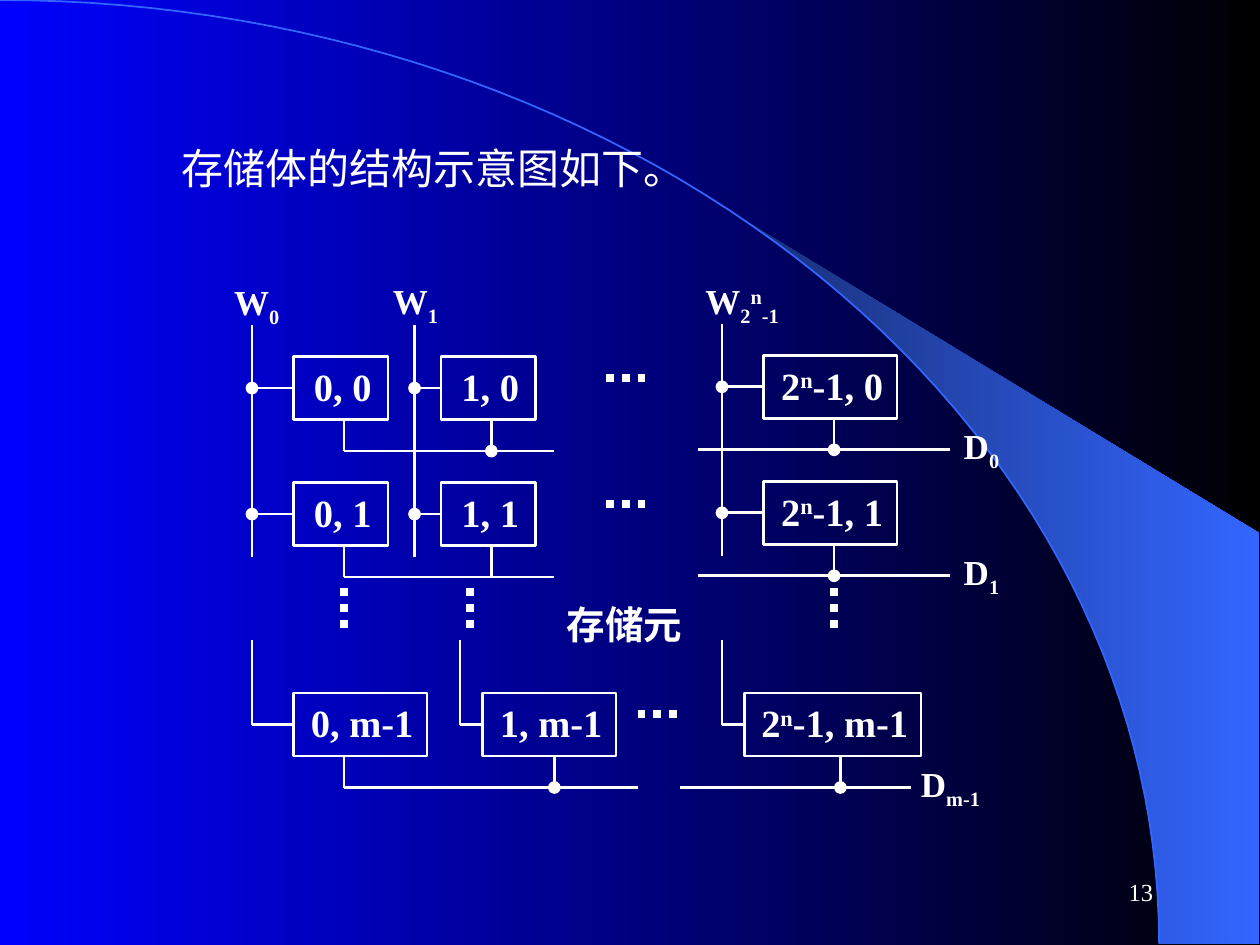
import math

from lxml import etree
from pptx import Presentation
from pptx.dml.color import RGBColor
from pptx.enum import dml, shapes, text
from pptx.oxml.ns import qn
from pptx.util import Inches, Pt

COLORS = {"ink": "FFFFFF", "arc": "3366FF", "beam": "182F76", "left": "0000FF", "right": "000000"}
FONT = "Times New Roman"
SUB, SUPER = -25, 30


def color(name):
    return RGBColor.from_string(COLORS[name])


def fill_gradient(fill, start, end):
    fill.gradient()
    fill.gradient_angle = 0
    for stop, name, position in zip(fill.gradient_stops, (start, end), (0, 1)):
        stop.color.rgb = color(name)
        stop.position = position


def write_text(frame, parts, size=20, bold=True, align=text.PP_ALIGN.LEFT):
    para = frame.paragraphs[0]
    para.alignment = align
    for part, baseline in parts:
        span = para.add_run()
        span.text = part
        span.font.name = FONT
        span.font.size = Pt(size)
        span.font.bold = bold
        span.font.color.rgb = color("ink")
        if baseline:
            span._r.get_or_add_rPr().set("baseline", str(baseline * 1000))


def arc_points(start, end, steps=60):
    angles = [math.radians(start + (end - start) * i / steps) for i in range(steps + 1)]
    return [(9.2 * math.sin(a), 7.49 - 7.49 * math.cos(a)) for a in angles]


class Diagram:
    def __init__(self, page, line_width=1.5):
        self.page = page
        self.line_width = line_width

    def outline(self, points, close):
        points = [(Inches(x), Inches(y)) for x, y in points]
        builder = self.page.shapes.build_freeform(*points[0], scale=1.0)
        builder.add_line_segments(points[1:], close=close)
        shape = builder.convert_to_shape()
        shape.shadow.inherit = False
        return shape

    def label(self, left, top, width, height, parts, anchor=text.MSO_ANCHOR.TOP, **style):
        box = self.page.shapes.add_textbox(*map(Inches, (left, top, width, height)))
        box.text_frame.word_wrap = False
        box.text_frame.vertical_anchor = anchor
        write_text(box.text_frame, parts, **style)

    def shape(self, kind, left, top, width, height):
        shape = self.page.shapes.add_shape(kind, *map(Inches, (left, top, width, height)))
        shape.shadow.inherit = False
        shape.line.color.rgb = color("ink")
        shape.line.width = Pt(self.line_width)
        return shape

    def cell(self, left, top, width, parts):
        cell = self.shape(shapes.MSO_SHAPE.RECTANGLE, left, top, width, 0.5)
        cell.fill.background()
        frame = cell.text_frame
        frame.word_wrap = False
        frame.vertical_anchor = text.MSO_ANCHOR.MIDDLE
        frame.margin_right = frame.margin_top = 0
        frame.margin_left = frame.margin_bottom = Inches(0.03)
        write_text(frame, parts, size=22, align=text.PP_ALIGN.CENTER)
        return cell

    def dot(self, x, y):
        dot = self.shape(shapes.MSO_SHAPE.OVAL, x - 0.04, y - 0.04, 0.08, 0.08)
        dot.fill.solid()
        dot.fill.fore_color.rgb = color("ink")

    def line(self, x1, y1, x2, y2, cell=None):
        line = self.page.shapes.add_connector(
            shapes.MSO_CONNECTOR.STRAIGHT, *map(Inches, (x1, y1, x2, y2)))
        line.line.color.rgb = color("ink")
        line.line.width = Pt(self.line_width)
        etree.SubElement(line._element.spPr, qn("a:effectLst"))
        if cell is not None:
            line.end_connect(cell, 1)
        return line

    def ellipsis(self, x1, y1, x2, y2):
        line = self.line(x1, y1, x2, y2)
        line.line.width = Pt(4.5)
        line.line.dash_style = dml.MSO_LINE.ROUND_DOT

    def wired_cell(self, wire, left, top, width, drop, parts, bus_dot):
        cell = self.cell(left, top, width, parts)
        self.line(wire, top + 0.25, left, top + 0.25, cell)
        self.line(drop, top + 0.5, drop, top + 0.75)
        if bus_dot:
            self.dot(drop, top + 0.75)


def draw_backdrop(diagram):
    fill_gradient(diagram.page.background.fill, "left", "right")
    beam = diagram.outline(arc_points(39.8, 90) + [(9.99, 7.49), (9.99, 4.23)], True)
    fill_gradient(beam.fill, "beam", "arc")
    beam.line.fill.background()
    arc = diagram.outline(arc_points(0, 90), False)
    arc.fill.background()
    arc.line.color.rgb = color("arc")
    arc.line.width = Pt(1)


def draw_memory(diagram):
    first, second, last = [("0", 0)], [("1", 0)], [("2", 0), ("n", SUPER), ("-1", 0)]
    upper_columns = [
        (first, 2, 2.33, 0.75, 2.73, 2.83, ()),
        (second, 3.29, 3.5, 0.75, 3.9, 2.83, (0,)),
        (last, 5.73, 6.06, 1.06, 6.62, 2.82, (0, 1)),
    ]
    for name, wire, left, width, drop, top, dotted_rows in upper_columns:
        diagram.line(wire, top - 0.25, wire, top + 1.59)
        for row in range(2):
            diagram.wired_cell(wire, left, top + row, width, drop,
                               name + [(f", {row}", 0)], row in dotted_rows)
            diagram.dot(wire, top + row + 0.25)

    bottom_columns = [
        (first, 2, 2.33, 1.06, 2.73),
        (second, 3.65, 3.83, 1.06, 4.4),
        (last, 5.73, 5.91, 1.4, 6.67),
    ]
    for name, wire, left, width, drop in bottom_columns:
        diagram.line(wire, 5.08, wire, 5.75)
        diagram.wired_cell(wire, left, 5.5, width, drop,
                           name + [(", m-1", 0)], name is not first)

    for start, end, y in [(2.73, 4.4, 3.58), (5.54, 7.54, 3.57), (2.73, 4.4, 4.58),
                          (5.54, 7.54, 4.57), (2.73, 5.06, 6.25), (5.4, 7.23, 6.25)]:
        diagram.line(start, y, end, y)
    for x in (2.73, 3.73, 6.62):
        diagram.ellipsis(x, 4.67, x, 5)
    for x, y in [(4.81, 3), (4.81, 4), (5.06, 5.67)]:
        diagram.ellipsis(x, y, x + 0.34, y)

    for left, top, width, parts in [
        (1.76, 2.18, 0.6, [("W", 0), ("0", SUB)]),
        (3.02, 2.17, 0.6, [("W", 0), ("1", SUB)]),
        (5.5, 2.17, 0.9, [("W", 0), ("2", SUB), ("n", SUPER), ("-1", SUB)]),
        (7.55, 3.32, 0.52, [("D", 0), ("0", SUB)]),
        (7.55, 4.32, 0.52, [("D", 0), ("1", SUB)]),
        (7.21, 6, 0.75, [("D", 0), ("m-1", SUB)]),
    ]:
        diagram.label(left, top, width, 0.48, parts)
    diagram.label(4.4, 4.72, 1.25, 0.47, [("存储元", 0)], size=22)


def main():
    deck = Presentation()
    deck.slide_width, deck.slide_height = Inches(10), Inches(7.5)
    diagram = Diagram(deck.slides.add_slide(deck.slide_layouts[6]))
    draw_backdrop(diagram)
    diagram.label(7.17, 6.83, 2.08, 0.5, [("13", 0)], anchor=text.MSO_ANCHOR.MIDDLE,
                  size=14, bold=False, align=text.PP_ALIGN.RIGHT)
    diagram.label(1.34, 1.08, 4.3, 0.5, [("存储体的结构示意图如下。", 0)], size=24, bold=False)
    draw_memory(diagram)
    deck.save("out.pptx")


if __name__ == "__main__":
    main()
